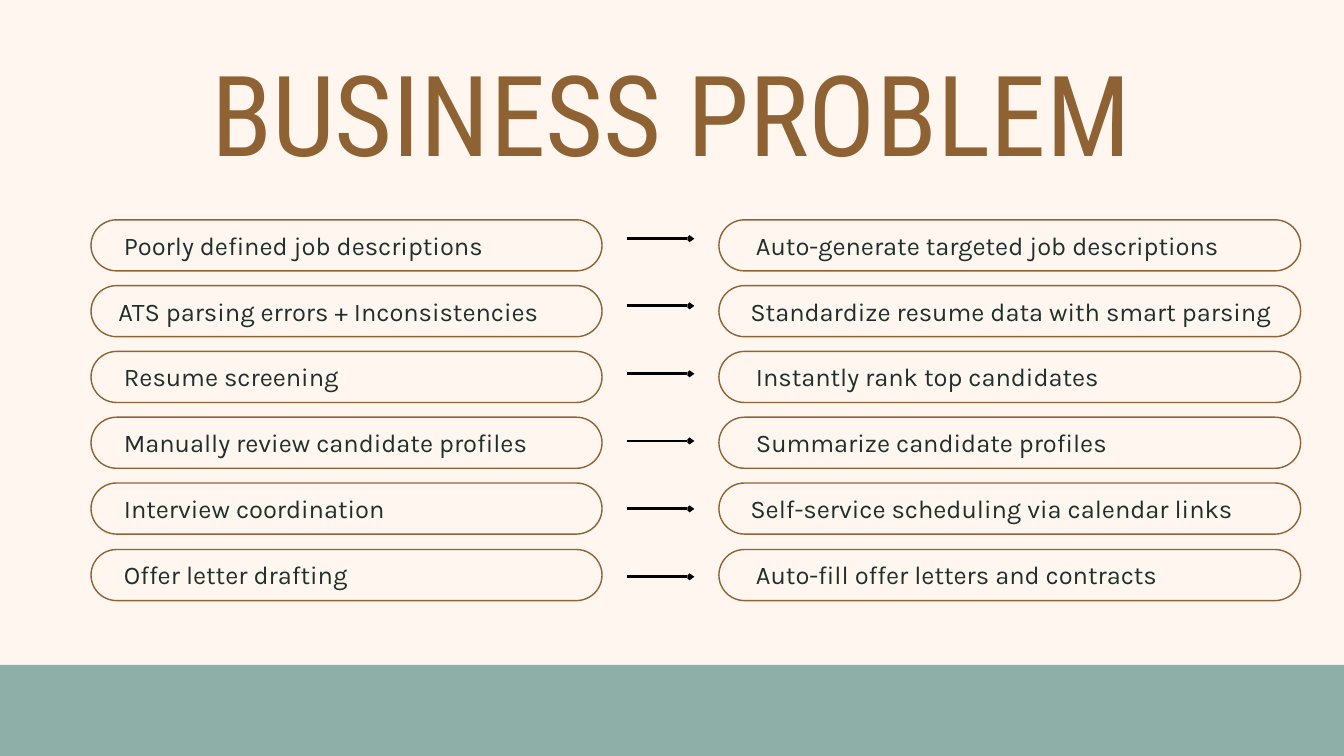
from dataclasses import dataclass

from lxml import etree
from pptx import Presentation, util as u
from pptx.dml.color import RGBColor
from pptx.enum import shapes, text
from pptx.oxml.ns import qn

PX = 9525


@dataclass(frozen=True)
class Theme:
    paper: str = "FFF7EF"
    band: str = "8DAFA8"
    accent: str = "8F6234"
    ink: str = "1E302C"
    arrow: str = "000000"
    title_font: str = "Roboto Condensed"
    body_font: str = "Karla"
    title_size: float = 120
    title_leading: float = 168
    body_size: float = 27.3
    body_leading: float = 38.2
    outline: float = 1.5
    arrow_width: float = 3


def apply(target, values):
    for name, value in values.items():
        setattr(target, name, value)


def spread(first, last, index, count):
    return first + (last - first) * index // (count - 1)


class SlideBuilder:
    """Draws themed elements on one slide, with lengths in px."""

    def __init__(self, slide, theme):
        self.slide = slide
        self.theme = theme
        self.paint(slide.background.fill, theme.paper)

    def paint(self, fill, color):
        fill.solid()
        fill.fore_color.rgb = RGBColor.from_string(color)

    def panel(self, kind, box, fill, outline=None):
        shape = self.slide.shapes.add_shape(kind, *(PX * side for side in box))
        shape.shadow.inherit = False
        self.paint(shape.fill, fill)
        if outline:
            self.paint(shape.line.fill, outline)
            shape.line.width = u.Pt(self.theme.outline)
        else:
            shape.line.fill.background()
        return shape

    def pill(self, box):
        shape = self.panel(shapes.MSO_SHAPE.ROUNDED_RECTANGLE, box,
                           self.theme.paper, self.theme.accent)
        shape.adjustments[0] = 0.5

    def label(self, box, words, font, leading, color,
              align=text.PP_ALIGN.LEFT, indent=0):
        shape = self.slide.shapes.add_textbox(*(PX * side for side in box))
        frame = shape.text_frame
        apply(frame, {"word_wrap": True, "margin_left": PX * indent,
                      "margin_right": 0, "margin_top": 0, "margin_bottom": 0})
        paragraph = frame.paragraphs[0]
        apply(paragraph, {"text": words, "alignment": align,
                          "line_spacing": u.Pt(leading)})
        run = paragraph.runs[0]
        apply(run.font, font)
        run.font.color.rgb = RGBColor.from_string(color)

    def title(self, box, words):
        theme = self.theme
        font = {"name": theme.title_font, "size": u.Pt(theme.title_size)}
        self.label(box, words, font, theme.title_leading, theme.accent,
                   text.PP_ALIGN.CENTER)

    def item(self, box, words, indent):
        theme = self.theme
        font = {"name": theme.body_font, "size": u.Pt(theme.body_size)}
        self.label(box, words, font, theme.body_leading, theme.ink,
                   indent=indent)

    def arrow(self, left, right, y):
        connector = self.slide.shapes.add_connector(
            shapes.MSO_CONNECTOR.STRAIGHT, PX * left, PX * y, PX * right, PX * y)
        self.paint(connector.line.fill, self.theme.arrow)
        connector.line.width = u.Pt(self.theme.arrow_width)
        etree.SubElement(connector.line._get_or_add_ln(), qn("a:tailEnd"),
                         type="arrow", w="sm", len="sm")
        etree.SubElement(connector._element.spPr, qn("a:effectLst"))


PROBLEMS = [
    ("Poorly defined job descriptions", 8),
    ("ATS parsing errors + Inconsistencies", 0),
    ("Resume screening", 8),
    ("Manually review candidate profiles", 8),
    ("Interview coordination", 8),
    ("Offer letter drafting", 8),
]
SOLUTIONS = [
    ("Auto-generate targeted job descriptions", 8),
    ("Standardize resume data with smart parsing", 0),
    ("Instantly rank top candidates", 8),
    ("Summarize candidate profiles", 8),
    ("Self-service scheduling via calendar links", 0),
    ("Auto-fill offer letters and contracts", 8),
]
COLUMNS = [(130, 730, 39, PROBLEMS), (1027, 831, 45, SOLUTIONS)]


def main():
    presentation = Presentation()
    apply(presentation, {"slide_width": 1920 * PX, "slide_height": 1080 * PX})
    slide = presentation.slides.add_slide(presentation.slide_layouts[6])
    builder = SlideBuilder(slide, Theme())

    builder.panel(shapes.MSO_SHAPE.RECTANGLE, (0, 950, 1920, 130),
                  builder.theme.band)
    count = len(PROBLEMS)
    for row in range(count):
        builder.arrow(896, 992, spread(341, 824, row, count))
    builder.title((107, 32, 1704, 217), "BUSINESS PROBLEM")

    for left, width, inset, items in COLUMNS:
        for row, (words, indent) in enumerate(items):
            top = spread(314, 785, row, count)
            builder.pill((left, top, width, 73))
            builder.item((left + inset, top + 7, width - inset, 55),
                         words, indent)

    presentation.save("out.pptx")


if __name__ == "__main__":
    main()
